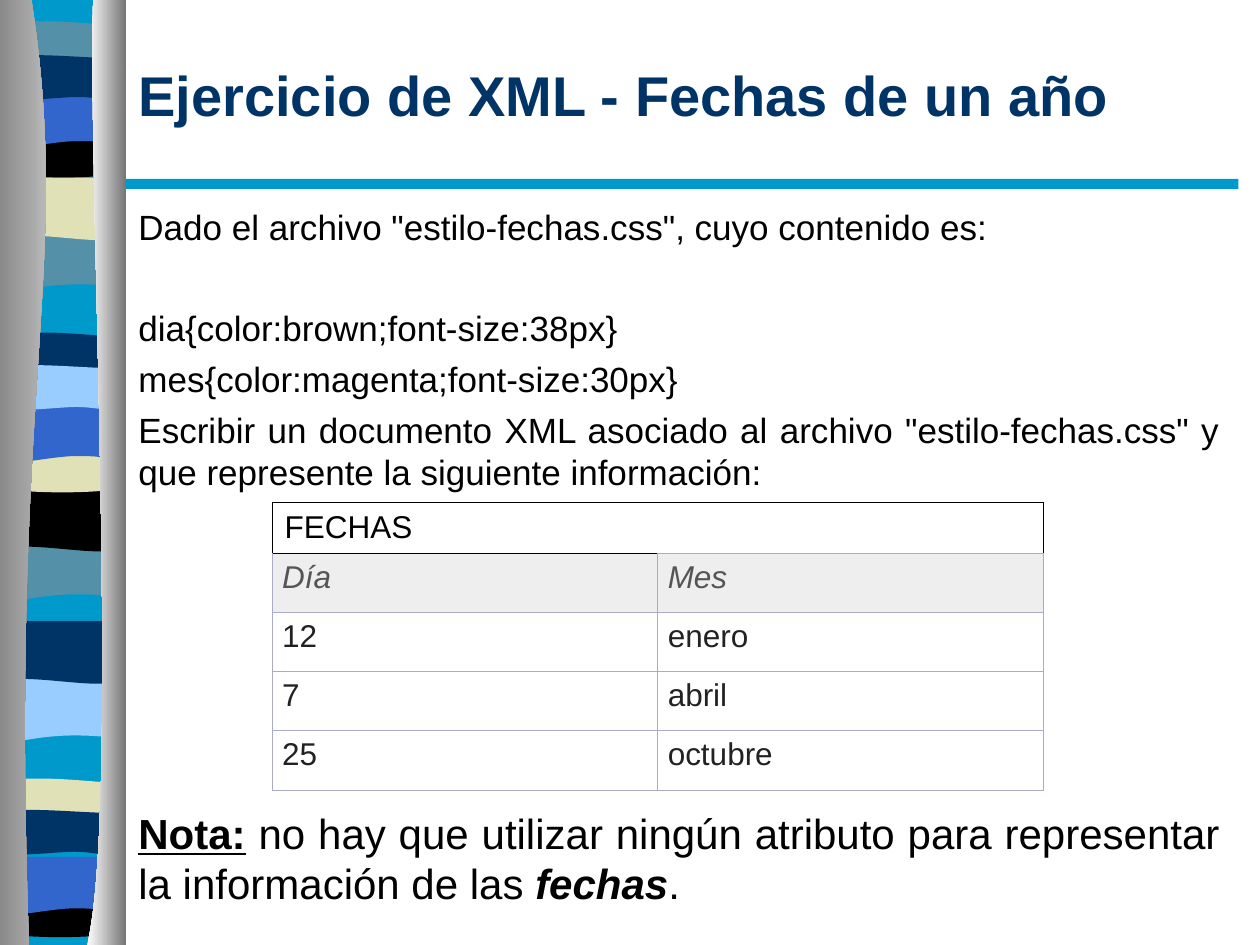
from lxml import etree
from pptx import Presentation
from pptx.dml.color import RGBColor
from pptx.enum.shapes import MSO_SHAPE
from pptx.enum.text import MSO_ANCHOR, PP_ALIGN
from pptx.oxml.ns import qn
from pptx.util import Inches, Pt

RECTANGLE = MSO_SHAPE.RECTANGLE
MIDDLE, TOP = MSO_ANCHOR.MIDDLE, MSO_ANCHOR.TOP
LEFT, JUSTIFY = PP_ALIGN.LEFT, PP_ALIGN.JUSTIFY
FONT = "Arial"

BLACK = RGBColor(0x00, 0x00, 0x00)
WHITE = RGBColor(0xFF, 0xFF, 0xFF)
CYAN = RGBColor(0x00, 0x99, 0xCC)
SLATE = RGBColor(0x54, 0x90, 0xA8)
CREAM = RGBColor(0xE1, 0xE1, 0xB7)
BLUE = RGBColor(0x33, 0x66, 0xCC)
NAVY = RGBColor(0x00, 0x33, 0x66)
SKY = RGBColor(0x99, 0xCC, 0xFF)
DARK_GREY = RGBColor(0x76, 0x76, 0x76)
MID_GREY = RGBColor(0x8A, 0x8A, 0x8A)
PALE_GREY = RGBColor(0xD3, 0xD3, 0xD3)
HEAD_FILL = RGBColor(0xEE, 0xEE, 0xEE)
HEAD_TEXT = RGBColor(0x55, 0x55, 0x55)
CELL_TEXT = RGBColor(0x22, 0x22, 0x22)
LAVENDER = RGBColor(0xAA, 0xAA, 0xCC)

# Band outlines in inches: a pair is a corner, three pairs are a Bezier curve
BAND_WIDTH = 0.95
BAND_OUTLINES = [
    [(0.95, 0), (0.95, 0.47), ((0.29, 0.39), (0.16, 0.55), (0, 0.47)), (0, 0)],
    [(0.95, 0), (0.95, 0.47), ((0.79, 0.55), (0.29, 0.42), (0, 0.47)), (0, 0)],
    [(0.95, 0.05), (0.95, 0.29), ((0.79, 0.33), (0.16, 0.33), (0, 0.29)), (0, 0.05),
     ((0.06, 0), (0.21, 0.01), (0.36, 0.01)), ((0.52, 0.01), (0.83, 0.04), (0.95, 0.05))],
    [(0.95, 0), (0.95, 0.33), ((0.79, 0.38), (0.16, 0.38), (0, 0.33)), (0, 0),
     ((0.58, 0.05), (0.75, 0), (0.95, 0))],
    [(0.95, 0), (0.95, 0.47), ((0.8, 0.41), (0.74, 0.41), (0.58, 0.41)),
     ((0.43, 0.41), (0.15, 0.47), (0, 0.47)), (0, 0)],
    [(0.95, 0.05), (0.95, 0.36), ((0.89, 0.41), (0.75, 0.36), (0.59, 0.36)),
     ((0.43, 0.36), (0.1, 0.41), (0, 0.36)), (0, 0.05),
     ((0.14, 0), (0.65, 0.05), (0.81, 0.05)), ((0.96, 0.05), (0.92, 0.05), (0.95, 0.05))],
]
# Each set uses the six outlines in order: left, then top and colour of each band
BAND_SETS = [
    (0.03, [(1.81, SLATE), (1.41, CREAM), (0.16, SLATE), (1.04, BLACK), (0.71, BLUE), (0.41, NAVY)]),
    (0.02, [(4.27, SLATE), (3.88, BLACK), (2.63, NAVY), (3.54, CREAM), (3.21, BLUE), (2.87, SKY)]),
    (0, [(5.39, SKY), (4.93, NAVY), (6.17, CREAM), (7.07, BLACK), (6.8, BLUE), (6.4, NAVY)]),
]

INTRO = [
    ("Dado el archivo \"estilo-fechas.css\", cuyo contenido es:", 0),
    ("dia{color:brown;font-size:38px}", 34),
    ("mes{color:magenta;font-size:30px}", 5),
    ("Escribir un documento XML asociado al archivo \"estilo-fechas.css\" y que "
     "represente la siguiente información:", 5),
]
DATES = [("Día", "Mes"), ("12", "enero"), ("7", "abril"), ("25", "octubre")]


def add_outline(shapes, left, top, outline):
    """Draw an outline of corners and Bezier curves."""
    parts = [[part] if len(part) == 2 else part for part in outline]
    points = [(Inches(left + x), Inches(top + y)) for part in parts for x, y in part]
    builder = shapes.build_freeform(*points[0], scale=1.0)
    builder.add_line_segments(points[1:], close=True)
    shape = builder.convert_to_shape()
    # Join the three segments of each curve into one Bezier segment
    segments = iter(list(shape._element.iter(qn("a:lnTo"))))
    for part in parts[1:]:
        first, *others = [next(segments) for _ in part]
        if others:
            first.tag = qn("a:cubicBezTo")
            for segment in others:
                first.append(segment[0])
                segment.getparent().remove(segment)
    shape.shadow.inherit = False
    shape.line.fill.background()
    return shape


def fill_solid(shape, color):
    shape.fill.solid()
    shape.fill.fore_color.rgb = color


def add_ribbon(slide, left, top, width, height):
    shapes = slide.shapes.add_group_shape().shapes
    backdrop = [(BAND_WIDTH, 0), (BAND_WIDTH, height), (0, height), (0, 0)]
    fill_solid(add_outline(shapes, left + 0.03, top, backdrop), CYAN)
    for offset, bands in BAND_SETS:
        for outline, (band_top, color) in zip(BAND_OUTLINES, bands):
            fill_solid(add_outline(shapes, left + offset, top + band_top, outline), color)
    # Shaded columns on both sides of the bands
    columns = [
        ([(0.25, 0), ((0.58, 2.16), (0.07, 2.96), (0.23, height)), (0, height), (0, 0)],
         MID_GREY, PALE_GREY),
        ([(0.74, 0), ((0.69, 1.25), (0.96, 6.46), (0.69, height)), (width, height), (width, 0)],
         WHITE, DARK_GREY),
    ]
    for outline, start, end in columns:
        column = add_outline(shapes, left, top, outline)
        column.fill.gradient()
        column.fill.gradient_angle = 0
        for stop, color in zip(column.fill.gradient_stops, (start, end)):
            stop.color.rgb = color


def add_rule(slide, left, top, width, height):
    rule = slide.shapes.add_shape(RECTANGLE, *map(Inches, (left, top, width, height)))
    rule.shadow.inherit = False
    rule.line.fill.background()
    fill_solid(rule, CYAN)


def format_font(font, size, color, bold=None, italic=None):
    font.name, font.size, font.bold, font.italic = FONT, Pt(size), bold, italic
    font.color.rgb = color


def add_title(slide, left, top, width, height):
    title = slide.shapes.title
    title.left, title.top, title.width, title.height = map(Inches, (left, top, width, height))
    title.text_frame.vertical_anchor = MIDDLE
    paragraph = title.text_frame.paragraphs[0]
    paragraph.text = "Ejercicio de XML - Fechas de un año"
    paragraph.alignment = LEFT
    format_font(paragraph.font, 32, NAVY, bold=True)


def add_body(slide, left, top, width, height):
    frame = slide.shapes.add_textbox(*map(Inches, (left, top, width, height))).text_frame
    frame.word_wrap = True
    for index, (text, space) in enumerate(INTRO):
        paragraph = frame.add_paragraph() if index else frame.paragraphs[0]
        paragraph.text = text
        paragraph.alignment = JUSTIFY
        paragraph.space_before = Pt(space)
        format_font(paragraph.font, 20, BLACK)
    # The note stands below the table
    note = frame.add_paragraph()
    note.alignment = JUSTIFY
    note.space_before = Pt(180)
    for text, bold, italic, underline in [
        ("Nota:", True, False, True),
        (" no hay que utilizar ningún atributo para representar la información de las ",
         False, False, False),
        ("fechas", True, True, False),
        (".", False, False, False),
    ]:
        run = note.add_run()
        run.text = text
        format_font(run.font, 24, BLACK, bold, italic)
        run.font.underline = underline


def set_borders(cell, **colors):
    properties = cell._tc.get_or_add_tcPr()
    for side in "LRTB":
        line = etree.SubElement(properties, qn(f"a:ln{side}"), w=str(Pt(0.45)))
        fill = etree.SubElement(line, qn("a:solidFill"))
        etree.SubElement(fill, qn("a:srgbClr"), val=str(colors.get(side, LAVENDER)))


def fill_cell(cell, text, color, italic=False):
    cell.text = text
    format_font(cell.text_frame.paragraphs[0].font, 18, color, italic=italic)


def add_dates_table(slide, left, top, width, row_height):
    rows = len(DATES) + 1
    table = slide.shapes.add_table(rows, 2, *map(Inches, (left, top, width, rows * row_height))).table
    table.first_row = table.horz_banding = False
    table.rows[0].height = Inches(0.4)
    # Caption row across both columns
    caption = table.cell(0, 0)
    caption.merge(table.cell(0, 1))
    for column in range(2):
        set_borders(table.cell(0, column), L=BLACK, T=BLACK, R=BLACK)
        table.cell(0, column).fill.background()
    fill_cell(caption, "FECHAS", BLACK)
    caption.vertical_anchor = MIDDLE
    # Column heads and dates
    for row, values in enumerate(DATES, start=1):
        table.rows[row].height = Inches(row_height)
        for column, value in enumerate(values):
            cell = table.cell(row, column)
            head = row == 1
            set_borders(cell, T=BLACK if head and column == 0 else LAVENDER)
            cell.margin_left = cell.margin_right = Inches(0.08)
            cell.margin_top = cell.margin_bottom = Inches(0.05)
            cell.vertical_anchor = TOP
            fill_cell(cell, value, HEAD_TEXT if head else CELL_TEXT, italic=head)
            if head:
                fill_solid(cell, HEAD_FILL)
            else:
                cell.fill.background()


def main():
    presentation = Presentation()
    presentation.slide_width, presentation.slide_height = Inches(10), Inches(7.5)
    slide = presentation.slides.add_slide(presentation.slide_layouts[5])
    add_ribbon(slide, 0, 0, 1, 7.5)
    add_rule(slide, 1, 1.42, 8.83, 0.08)
    add_title(slide, 1, 0.12, 8.78, 1.25)
    add_body(slide, 1, 1.58, 8.78, 5.75)
    add_dates_table(slide, 2.16, 3.99, 6.12, 0.47)
    presentation.save("out.pptx")


if __name__ == "__main__":
    main()
